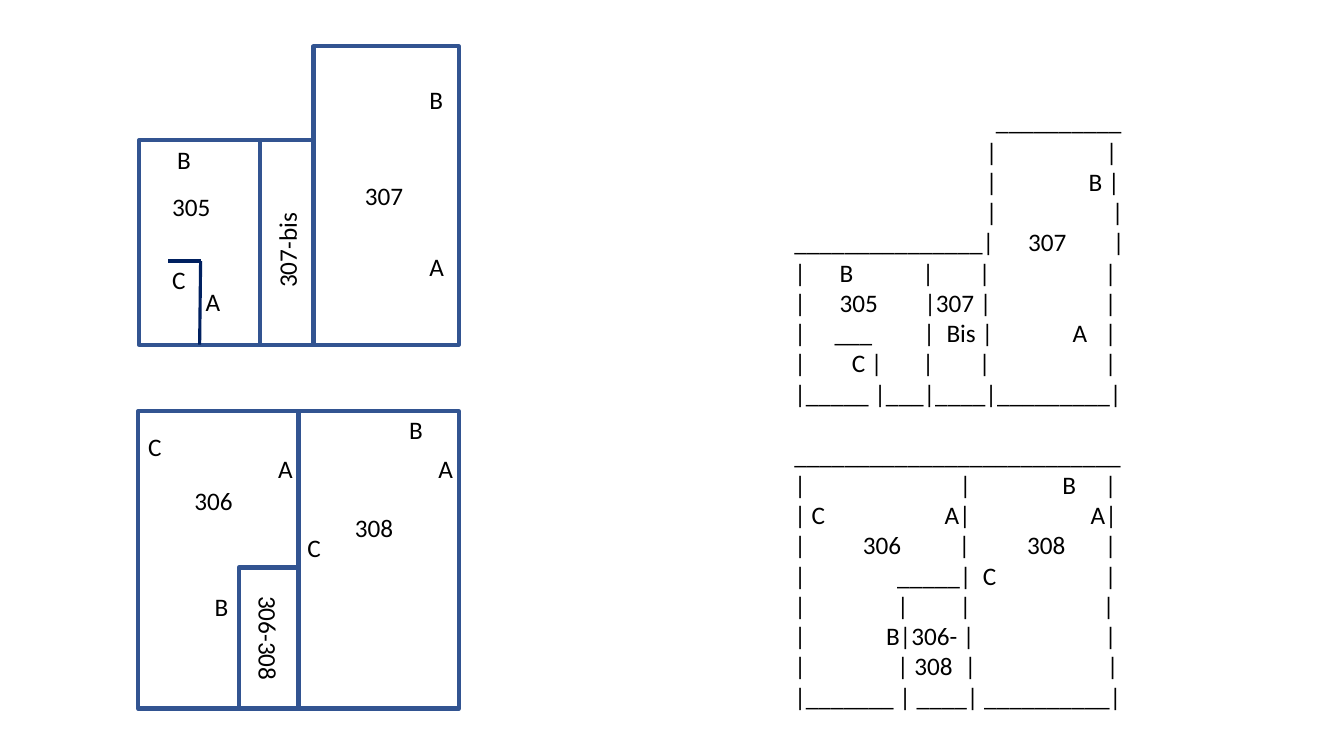
from lxml import etree
from pptx import Presentation
from pptx.dml.color import RGBColor
from pptx.enum import shapes, text
from pptx.oxml import ns
from pptx.util import Inches, Pt

FONT = "Calibri"
WALL, DOOR, INK, PAPER = "325491", "002060", "000000", "FFFFFF"
LINE_HEIGHT = 22

# Room outlines and labels, measured from the corner of each plan
UPPER_ROOMS = [(0, 0.93, 1.2, 2.03), (1.2, 0.93, 0.53, 2.03), (1.73, 0, 1.44, 2.96)]
UPPER_LABELS = [
    ("305", 0.23, 1.39), ("307", 2.14, 1.28),
    ("A", 0.56, 2.33), ("B", 0.28, 0.92), ("C", 0.23, 2.11),
    ("A", 2.78, 1.98), ("B", 2.78, 0.33),
]
LOWER_ROOMS = [(0, 0, 1.59, 2.95), (1.59, 0, 1.59, 2.95), (1, 1.55, 0.59, 1.4)]
LOWER_LABELS = [
    ("306", 0.46, 0.69), ("308", 2.05, 0.95),
    ("A", 1.29, 0.37), ("B", 0.66, 1.74), ("C", 0, 0.15),
    ("A", 2.88, 0.37), ("B", 2.59, -0.02), ("C", 1.58, 1.15),
]

# Typed plans: each row lists its pieces with their tab positions in inches
TYPED_UPPER = [
    [(2, "__________")],
    [(1.9, "|"), (3.09, "|")],
    [(1.9, "|"), (2.92, "B |")],
    [(1.9, "|"), (3.15, "|")],
    [(0, "_______________|"), (2.32, "307"), (3.16, "|")],
    [(0, "|"), (0.45, "B"), (1.27, "|"), (1.83, "|"), (3.08, "|")],
    [(0, "|"), (0.45, "305"), (1.29, "|307 |"), (3.08, "|")],
    [(0, "|"), (0.4, "___"), (1.28, "|"), (1.51, "Bis |"), (2.76, "A"), (3.08, "|")],
    [(0, "|"), (0.57, "C |"), (1.27, "|"), (1.83, "|"), (3.08, "|")],
    [(0, "|_____ |___|____|_________|")],
]
TYPED_LOWER = [
    [(0, "__________________________")],
    [(0, "|"), (1.64, "|"), (2.66, "B"), (3.08, "|")],
    [(0, "| C"), (1.49, "A|"), (2.94, "A|")],
    [(0, "|"), (0.68, "306"), (1.63, "|"), (2.31, "308"), (3.08, "|")],
    [(0, "|"), (1.02, "_____|"), (1.87, "C"), (3.08, "|")],
    [(0, "|"), (1.02, "|"), (1.64, "|"), (3.06, "|")],
    [(0, "|"), (0.91, "B|306- |"), (3.08, "|")],
    [(0, "|"), (1.02, "| 308"), (1.69, "|"), (3.1, "|")],
    [(0, "|_______ | ____| __________|")],
]


def color(value):
    return RGBColor.from_string(value)


def write(paragraph, content, size=18, ink=INK, space_before=0, tabs=()):
    paragraph.space_before = Pt(space_before)
    if tabs:
        tab_list = etree.SubElement(paragraph._p.get_or_add_pPr(), ns.qn("a:tabLst"))
        for position in tabs:
            etree.SubElement(tab_list, ns.qn("a:tab"), pos=str(Inches(position)), algn="l")
    run = paragraph.add_run()
    run.text = content
    run.font.name = FONT
    run.font.size = Pt(size)
    run.font.color.rgb = color(ink)


def add_text_frame(slide, left, top, width, height, rotation=0):
    shape = slide.shapes.add_textbox(Inches(left), Inches(top), Inches(width), Inches(height))
    shape.rotation = rotation
    frame = shape.text_frame
    frame.word_wrap = True
    frame.vertical_anchor = text.MSO_ANCHOR.TOP
    return frame


def add_label(slide, content, left, top, width=None, rotation=0):
    width = width or (0.62 if len(content) > 1 else 0.4)
    frame = add_text_frame(slide, left, top, width, 0.4, rotation)
    write(frame.paragraphs[0], content)


def add_room(slide, left, top, width, height):
    shape = slide.shapes.add_shape(
        shapes.MSO_SHAPE.RECTANGLE, Inches(left), Inches(top), Inches(width), Inches(height))
    shape.shadow.inherit = False
    shape.fill.solid()
    shape.fill.fore_color.rgb = color(PAPER)
    shape.line.color.rgb = color(WALL)
    shape.line.width = Pt(3)


def add_partition(slide, *ends):
    connector = slide.shapes.add_connector(
        shapes.MSO_CONNECTOR.STRAIGHT, *[Inches(end) for end in ends])
    connector.line.color.rgb = color(DOOR)
    connector.line.width = Pt(2.25)
    etree.SubElement(connector._element.spPr, ns.qn("a:effectLst"))


def add_plan(slide, left, top, rooms, labels):
    for x, y, width, height in rooms:
        add_room(slide, left + x, top + y, width, height)
    for content, x, y in labels:
        add_label(slide, content, left + x, top + y)


def add_upper_plan(slide, left, top):
    add_plan(slide, left, top, UPPER_ROOMS, UPPER_LABELS)
    add_label(slide, "307-bis", left + 0.85, top + 1.68, width=1.23, rotation=270)
    # Inner partition of room 305
    corner_x, corner_y = left + 0.61, top + 2.13
    add_partition(slide, left + 0.6, top + 2.96, corner_x, corner_y)
    add_partition(slide, corner_x, corner_y, left + 0.29, corner_y)


def add_lower_plan(slide, left, top):
    add_plan(slide, left, top, LOWER_ROOMS, LOWER_LABELS)
    add_label(slide, "306-308", left + 0.68, top + 2.15, width=1.23, rotation=90)


def add_typed_plans(slide, left, top, width, height):
    frame = add_text_frame(slide, left, top, width, height)
    for index, row in enumerate(TYPED_UPPER + TYPED_LOWER):
        paragraph = frame.add_paragraph() if index else frame.paragraphs[0]
        tabs = [position for position, _ in row if position]
        content = "".join(("\t" if position else "") + piece for position, piece in row)
        gap = LINE_HEIGHT if index == len(TYPED_UPPER) else 0
        write(paragraph, content, space_before=gap, tabs=tabs)


def main():
    presentation = Presentation()
    presentation.slide_width = Inches(13.33)
    presentation.slide_height = Inches(7.5)
    slide = presentation.slides.add_slide(presentation.slide_layouts[6])
    # Drawn plans on the left, typed plans on the right
    add_upper_plan(slide, 1.38, 0.46)
    add_lower_plan(slide, 1.37, 4.08)
    add_typed_plans(slide, 7.78, 1, 3.5, 6.2)
    presentation.save("out.pptx")


if __name__ == "__main__":
    main()
